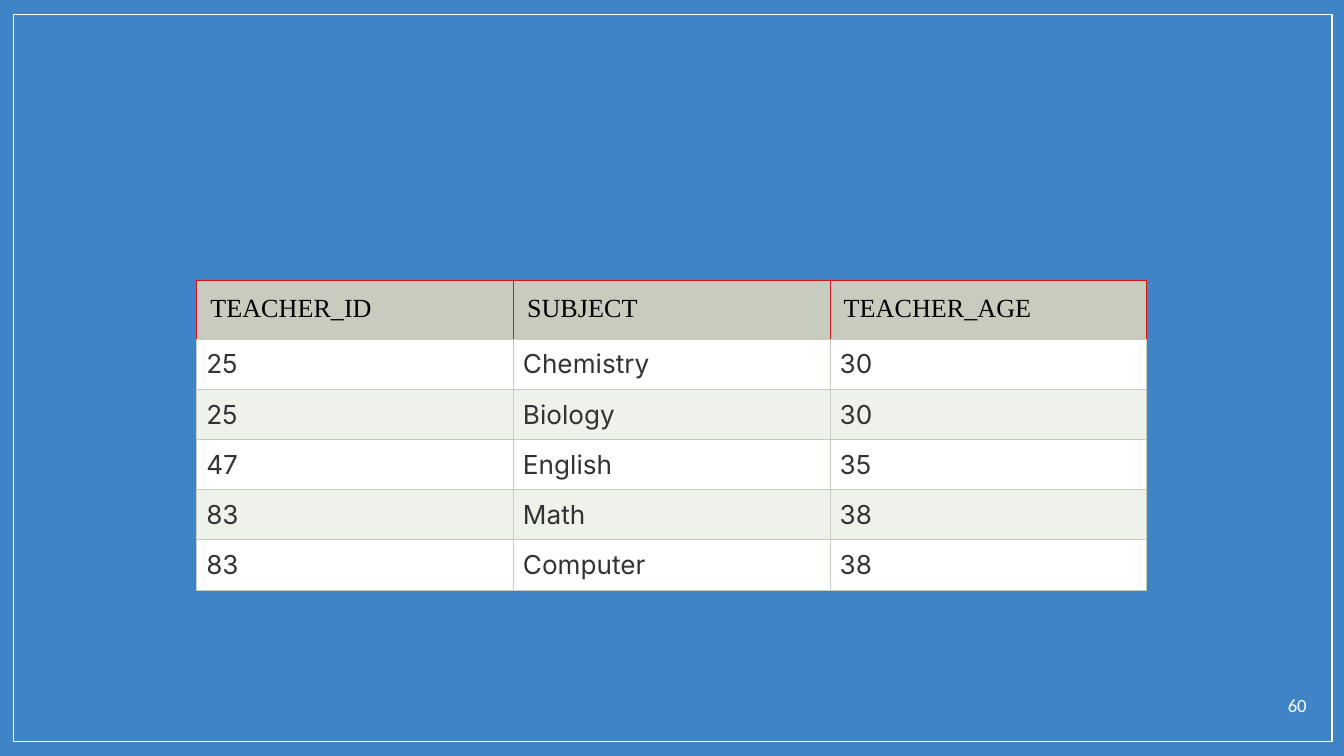
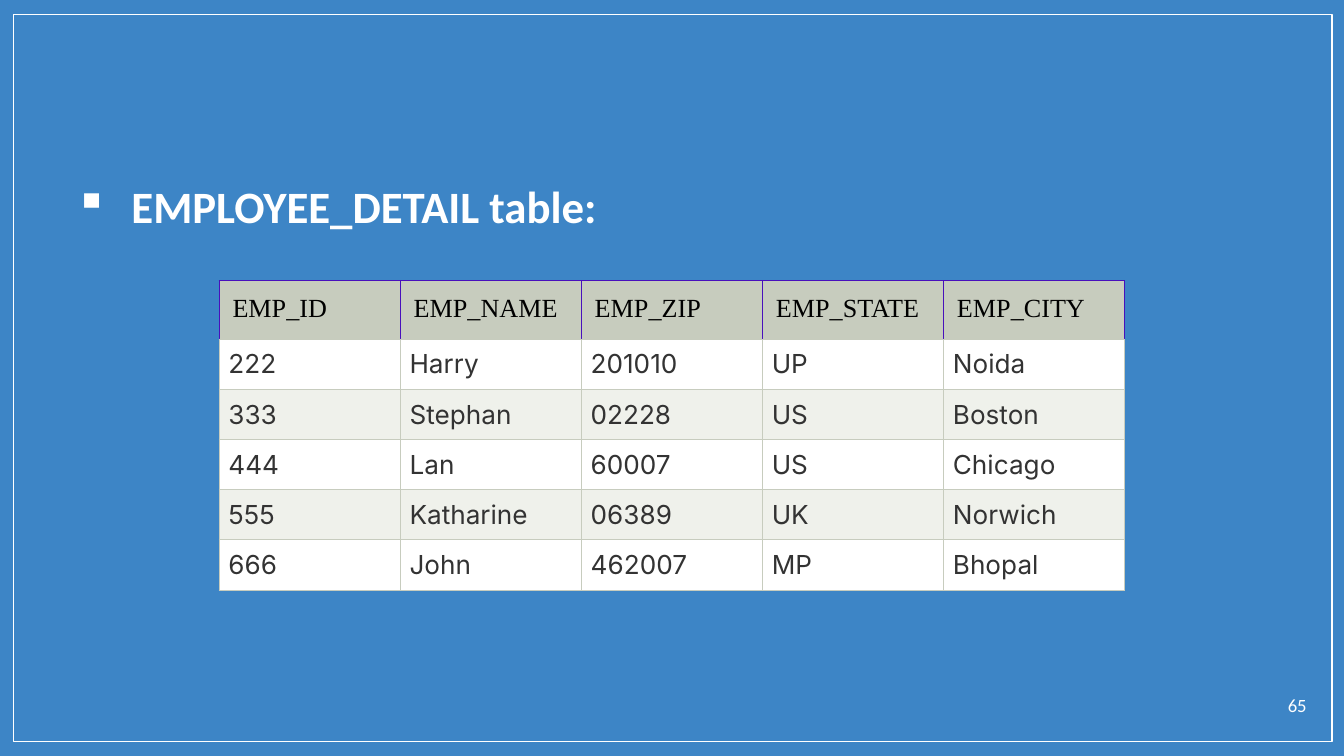
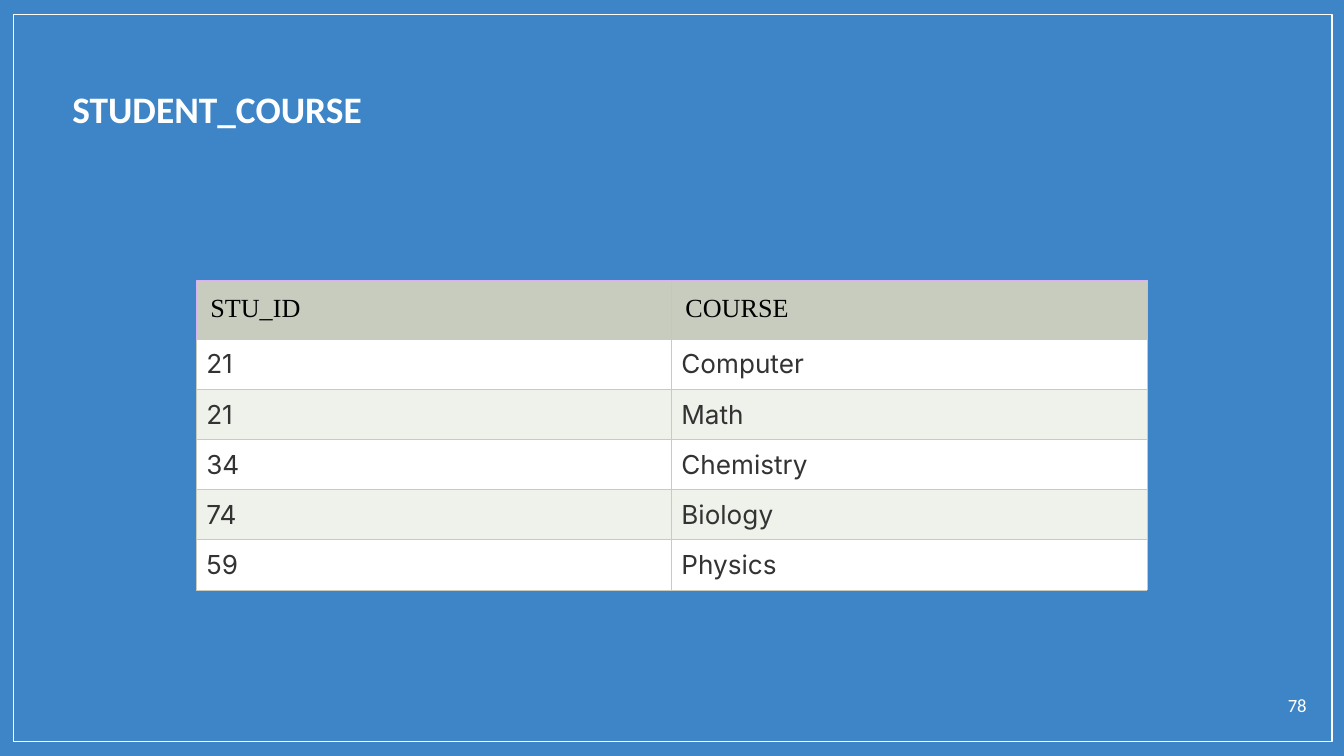
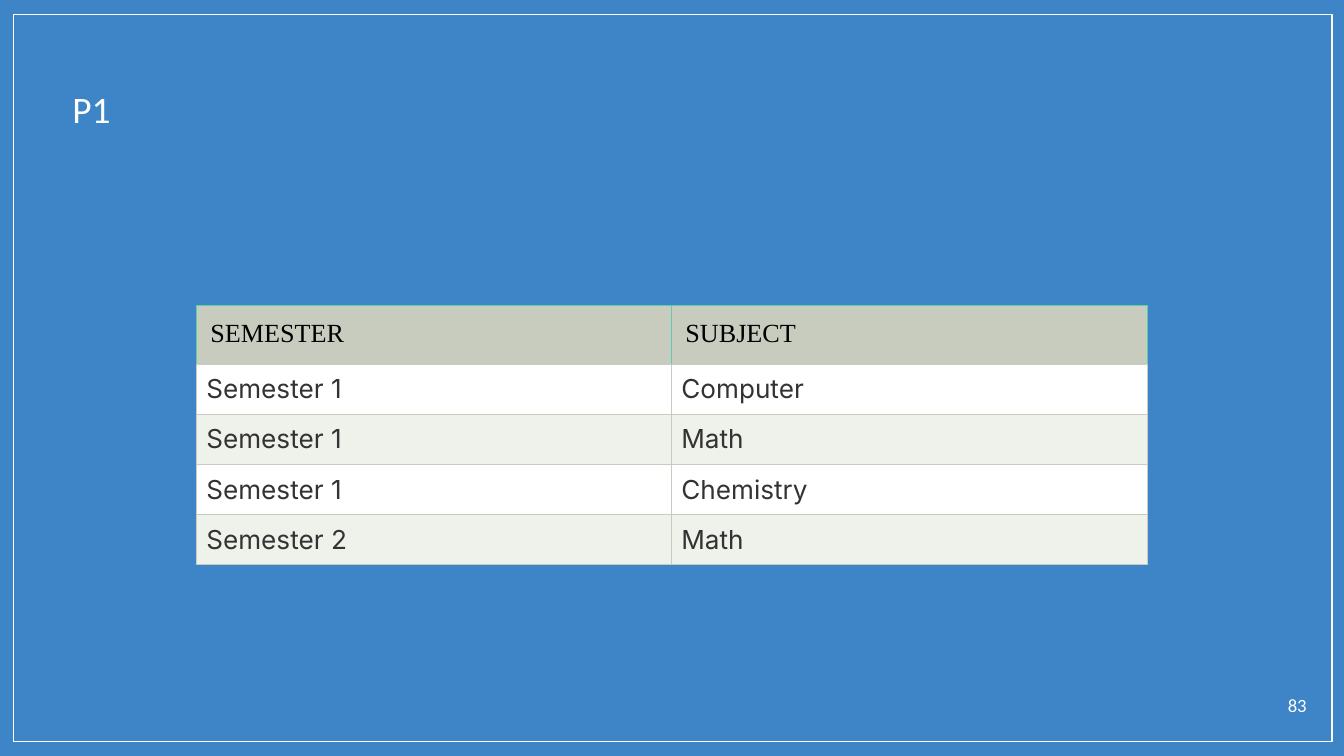
from dataclasses import dataclass
from typing import NamedTuple

from lxml.etree import SubElement
from pptx import Presentation
from pptx.dml.color import RGBColor
from pptx.enum.shapes import MSO_SHAPE as Shape
from pptx.enum.text import PP_ALIGN as Align
from pptx.oxml.ns import qn
from pptx.util import Emu, Inches, Pt

# The grid: 100 columns by 56.25 rows of square units.
UNIT = Inches(0.1)
COLS, ROWS = 100, 56.25

BLUE, WHITE, BLACK, DARK = "3D85C6", "FFFFFF", "000000", "333333"
SAGE, PALE = "C7CCBE", "EFF1EB"
SANS, SERIF, BODY = "Calibri", "Times New Roman", "Inter"

HEAD_ROW, BODY_ROW = 4.2, 3.7
TABLE_MID = 32.25


class Box(NamedTuple):
    left: float
    top: float
    width: float
    height: float


class Style(NamedTuple):
    font: str
    size: int
    color: str
    bold: bool = False
    align: Align = Align.LEFT


class Label(NamedTuple):
    text: str
    box: Box
    style: Style
    bullet: str = ""


class Band(NamedTuple):
    """Look of one table row."""
    style: Style
    fill: str
    edge: str
    inset: float


@dataclass
class Page:
    number: int
    edge: str
    rows: list[str]
    width: float = 70.7
    label: Label | None = None


FRAME = Box(1, 1.1, 98.1, 54.1)
NUMBER = Box(93.2, 50.8, 5, 3.2)
TITLE = Box(4.4, 5.4, 90, 4.5)
CONTENT = Box(3.8, 12.3, 90.7, 39.8)

PLAIN = Style(SANS, 20, WHITE)
STRONG = PLAIN._replace(bold=True)
POINT = Style(SANS, 24, WHITE, bold=True)
FOOT = Style(SANS, 10, WHITE, align=Align.RIGHT)
HEAD = Style(SERIF, 14, BLACK)
CELL = Style(BODY, 14, DARK, align=Align.JUSTIFY)

PAGES = [
    Page(60, "E0140F", [
        "TEACHER_ID|SUBJECT|TEACHER_AGE",
        "25|Chemistry|30",
        "25|Biology|30",
        "47|English|35",
        "83|Math|38",
        "83|Computer|38",
    ]),
    Page(65, "4810BC", [
        "EMP_ID|EMP_NAME|EMP_ZIP|EMP_STATE|EMP_CITY",
        "222|Harry|201010|UP|Noida",
        "333|Stephan|02228|US|Boston",
        "444|Lan|60007|US|Chicago",
        "555|Katharine|06389|UK|Norwich",
        "666|John|462007|MP|Bhopal",
    ], 67.4, Label("EMPLOYEE_DETAIL table:", CONTENT, POINT, "▪")),
    Page(78, "D8B3F1", [
        "STU_ID|COURSE",
        "21|Computer",
        "21|Math",
        "34|Chemistry",
        "74|Biology",
        "59|Physics",
    ], label=Label("STUDENT_COURSE", TITLE, STRONG)),
    Page(83, "60CCAF", [
        "SEMESTER|SUBJECT",
        "Semester 1|Computer",
        "Semester 1|Math",
        "Semester 1|Chemistry",
        "Semester 2|Math",
    ], label=Label("P1", TITLE, PLAIN)),
]


def grid(units: float) -> Emu:
    return Emu(round(units * UNIT))


def place(box: Box) -> list[Emu]:
    return [grid(part) for part in box]


def paint(target, color: str) -> None:
    """Give a fill, or the fill of a line, a solid colour."""
    target.solid()
    target.fore_color.rgb = RGBColor.from_string(color)


def pad(target, inset: float) -> None:
    target.margin_left = target.margin_right = grid(inset)
    target.margin_top = target.margin_bottom = grid(inset)


def write(frame, text: str, style: Style, bullet: str = "") -> None:
    para = frame.paragraphs[0]
    para.text = text
    para.alignment = style.align
    if bullet:
        props = para._p.get_or_add_pPr()
        props.set("marL", str(grid(5)))
        props.set("indent", str(grid(-4.2)))
        tint = SubElement(props, qn("a:buClr"))
        SubElement(tint, qn("a:srgbClr"), val=style.color)
        SubElement(props, qn("a:buChar"), char=bullet)
    font = para.font
    font.name, font.size, font.bold = style.font, Pt(style.size), style.bold
    paint(font.fill, style.color)


def add_label(slide, label: Label) -> None:
    frame = slide.shapes.add_textbox(*place(label.box)).text_frame
    frame.word_wrap = True
    pad(frame, 1)
    write(frame, label.text, label.style, label.bullet)


def add_frame(slide) -> None:
    frame = slide.shapes.add_shape(Shape.RECTANGLE, *place(FRAME))
    frame.shadow.inherit = False
    frame.fill.background()
    paint(frame.line.fill, WHITE)
    frame.line.width = Pt(0.75)


def rule(cell, edge: str) -> None:
    """Draw the cell's borders; the bottom one is always sage."""
    props = cell._tc.get_or_add_tcPr()
    for side in "LRTB":
        line = SubElement(props, qn(f"a:ln{side}"), w=str(Pt(0.6)))
        fill = SubElement(line, qn("a:solidFill"))
        SubElement(fill, qn("a:srgbClr"), val=SAGE if side == "B" else edge)


def add_grid(slide, page: Page) -> None:
    """Draw the page's table, centred across the slide."""
    rows = [row.split("|") for row in page.rows]
    count = len(rows[0])
    high = HEAD_ROW + BODY_ROW * (len(rows) - 1)
    box = Box((COLS - page.width) / 2, TABLE_MID - high / 2, page.width, high)
    table = slide.shapes.add_table(len(rows), count, *place(box)).table
    table.first_row = table.horz_banding = False
    for col in table.columns:
        col.width = grid(page.width / count)
    head = Band(HEAD, SAGE, page.edge, 1)
    bands = [Band(CELL, fill, SAGE, 0.7) for fill in (PALE, WHITE)]
    for r, texts in enumerate(rows):
        band = bands[r % 2] if r else head
        table.rows[r].height = grid(BODY_ROW if r else HEAD_ROW)
        for c, text in enumerate(texts):
            cell = table.cell(r, c)
            pad(cell, band.inset)
            rule(cell, band.edge)
            paint(cell.fill, band.fill)
            write(cell.text_frame, text, band.style)


def main() -> None:
    deck = Presentation()
    deck.slide_width, deck.slide_height = grid(COLS), grid(ROWS)
    paint(deck.slide_master.background.fill, BLUE)
    for page in PAGES:
        slide = deck.slides.add_slide(deck.slide_layouts[6])
        add_frame(slide)
        if page.label:
            add_label(slide, page.label)
        add_label(slide, Label(str(page.number), NUMBER, FOOT))
        add_grid(slide, page)
    deck.save("out.pptx")


if __name__ == "__main__":
    main()
